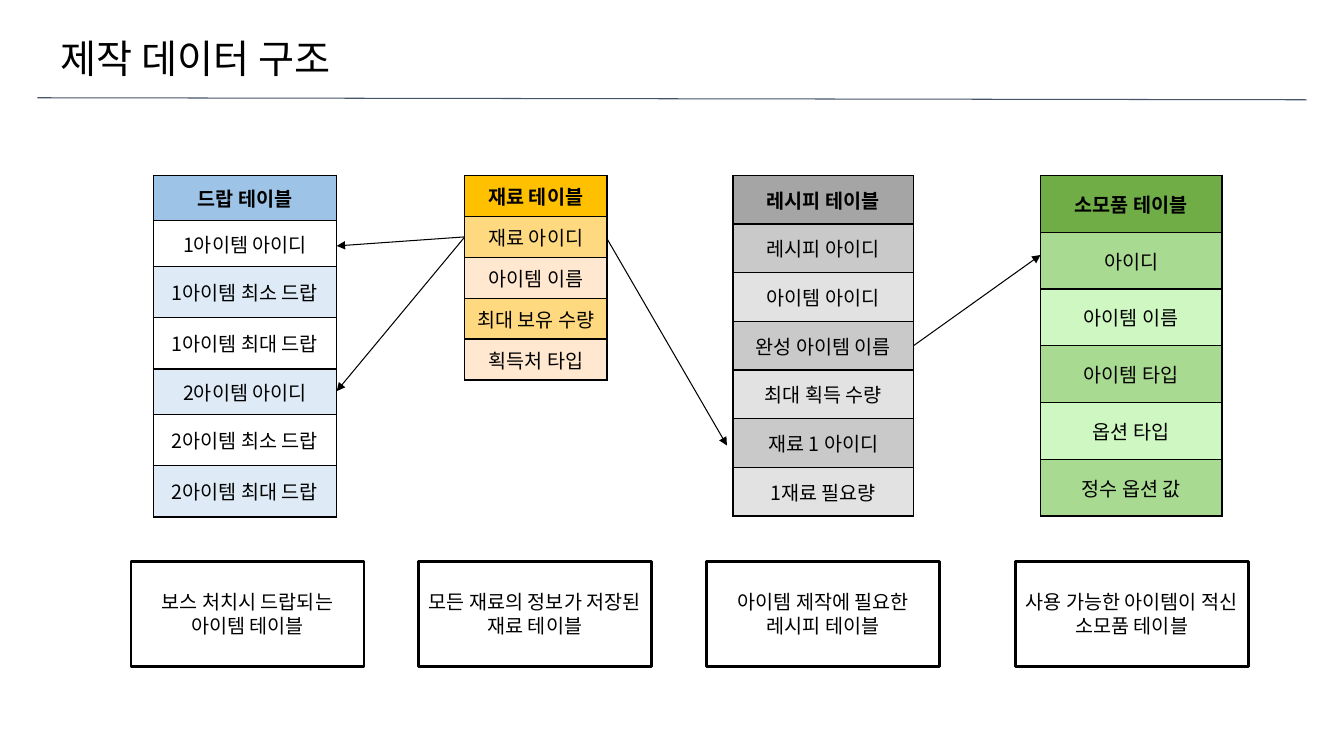
from pptx import Presentation
from pptx import util as u
from pptx.dml.color import RGBColor
from pptx.enum import shapes, text
from pptx.oxml import ns
from lxml import etree


def rgb(value):
    return RGBColor.from_string(value)


class Deck:
    """Slide builder holding the shared style and the current slide."""

    font, ink, body_size = "Noto Sans CJK KR", "000000", 14

    def __init__(self, prs):
        self.s = prs.slides.add_slide(prs.slide_layouts[5])

    def style_text(self, tf, words, size, align, bold=False):
        tf.text = words
        tf.word_wrap = True
        p = tf.paragraphs[0]
        p.alignment = align
        p.font.size, p.font.bold = u.Pt(size), bold
        p.font.color.rgb = rgb(self.ink)
        p.font.name = self.font
        style = p._p.pPr.find(ns.qn("a:defRPr"))
        etree.SubElement(style, ns.qn("a:ea"), typeface=self.font)

    def title(self, words, *box):
        sp = self.s.shapes.title
        sp.left, sp.top, sp.width, sp.height = [u.Inches(v) for v in box]
        tf = sp.text_frame
        self.style_text(tf, words, 28, text.PP_ALIGN.LEFT)
        tf.auto_size = text.MSO_AUTO_SIZE.NONE
        tf.vertical_anchor = text.MSO_ANCHOR.BOTTOM

    def line(self, start, end, color=ink, arrow=False):
        points = [u.Inches(v) for v in (*start, *end)]
        sp = self.s.shapes.add_connector(shapes.MSO_CONNECTOR.STRAIGHT, *points)
        sp.line.color.rgb = rgb(color)
        sp.line.width = u.Pt(0.75)
        spPr = sp._element.spPr
        if arrow:
            etree.SubElement(spPr.find(ns.qn("a:ln")), ns.qn("a:tailEnd"), type="triangle")
        etree.SubElement(spPr, ns.qn("a:effectLst"))

    def border(self, cell):
        tcPr = cell._tc.get_or_add_tcPr()
        for side in ("a:lnL", "a:lnR", "a:lnT", "a:lnB"):
            ln = etree.SubElement(tcPr, ns.qn(side), w=str(int(u.Pt(1))))
            fill = etree.SubElement(ln, ns.qn("a:solidFill"))
            etree.SubElement(fill, ns.qn("a:srgbClr"), val=self.ink)

    def table(self, left, width, heights, colors, labels):
        frame = self.s.shapes.add_table(
            len(labels), 1, u.Inches(left), u.Inches(1.74),
            u.Inches(width), u.Inches(sum(heights)))
        header, odd, even = colors
        for i, (label, height) in enumerate(zip(labels, heights)):
            frame.table.rows[i].height = u.Inches(height)
            cell = frame.table.cell(i, 0)
            cell.margin_left = cell.margin_right = cell.margin_top = cell.margin_bottom = 0
            cell.vertical_anchor = text.MSO_ANCHOR.MIDDLE
            self.border(cell)
            cell.fill.solid()
            cell.fill.fore_color.rgb = rgb(header if i == 0 else odd if i % 2 else even)
            self.style_text(cell.text_frame, label, self.body_size, text.PP_ALIGN.CENTER, i == 0)

    def note(self, left, words):
        box = [u.Inches(v) for v in (left, 5.57, 2.31, 1.04)]
        sp = self.s.shapes.add_shape(shapes.MSO_SHAPE.RECTANGLE, *box)
        sp.shadow.inherit = False
        sp.fill.solid()
        sp.fill.fore_color.rgb = rgb("FFFFFF")
        sp.line.color.rgb = rgb(self.ink)
        sp.line.width = u.Pt(2)
        sp.text_frame.vertical_anchor = text.MSO_ANCHOR.MIDDLE
        self.style_text(sp.text_frame, words, self.body_size, text.PP_ALIGN.CENTER)


ARROWS = [
    ((4.61, 2.35), (3.34, 2.44)),
    ((4.61, 2.35), (3.34, 3.88)),
    ((6.01, 2.35), (7.21, 4.42)),
    ((9.06, 3.43), (10.32, 2.53)),
]
TABLES = [
    (1.52, 1.82, [0.45, 0.45, 0.51, 0.51, 0.45, 0.51, 0.51],
     ("9DC3E6", "FFFFFF", "DEEBF7"),
     ["드랍 테이블", "1아이템 아이디", "1아이템 최소 드랍", "1아이템 최대 드랍",
      "2아이템 아이디", "2아이템 최소 드랍", "2아이템 최대 드랍"]),
    (7.27, 1.79, [3.38 / 7] * 7, ("A5A5A5", "C9C9C9", "E2E2E2"),
     ["레시피 테이블", "레시피 아이디", "아이템 아이디", "완성 아이템 이름",
      "최대 획득 수량", "재료 1 아이디", "1재료 필요량"]),
    (4.61, 1.41, [2.03 / 5] * 5, ("FFC000", "FFD97F", "FFE8CF"),
     ["재료 테이블", "재료 아이디", "아이템 이름", "최대 보유 수량", "획득처 타입"]),
    (10.32, 1.8, [3.38 / 6] * 6, ("70AD47", "A9DA91", "CFF7C2"),
     ["소모품 테이블", "아이디", "아이템 이름", "아이템 타입", "옵션 타입", "정수 옵션 값"]),
]
NOTES = [
    (1.3, "보스 처치시 드랍되는 아이템 테이블"),
    (4.15, "모든 재료의 정보가 저장된 재료 테이블"),
    (7.01, "아이템 제작에 필요한 레시피 테이블"),
    (10.07, "사용 가능한 아이템이 적신 소모품 테이블"),
]


def main():
    prs = Presentation()
    prs.slide_width, prs.slide_height = u.Inches(13.33), u.Inches(7.5)
    deck = Deck(prs)
    deck.line((0.37, 0.97), (12.96, 0.99), "44546A")
    deck.title("제작 데이터 구조", 0.5, 0.29, 12.46, 0.57)
    for start, end in ARROWS:
        deck.line(start, end, arrow=True)
    for table in TABLES:
        deck.table(*table)
    for left, words in NOTES:
        deck.note(left, words)
    prs.save("out.pptx")


if __name__ == "__main__":
    main()
